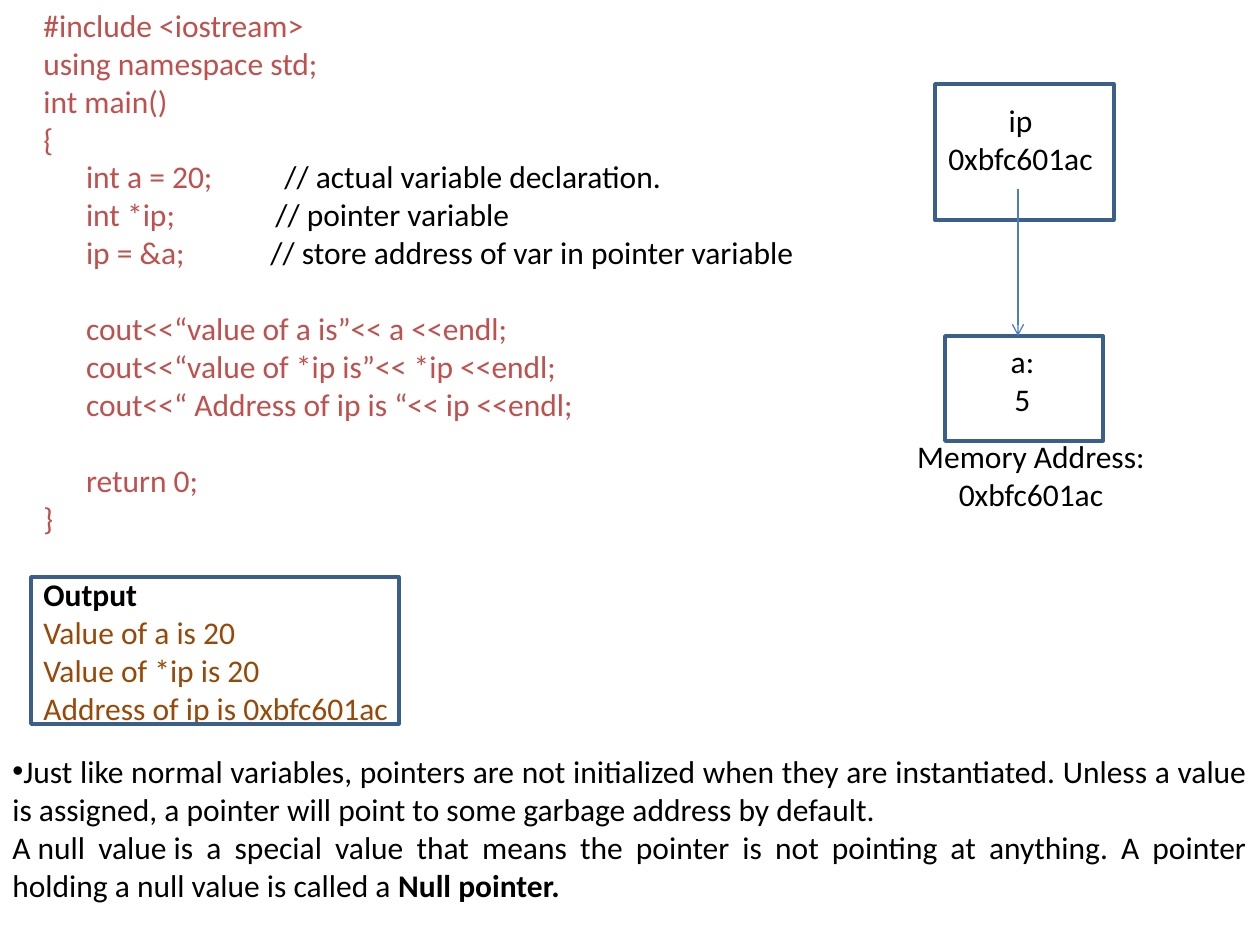
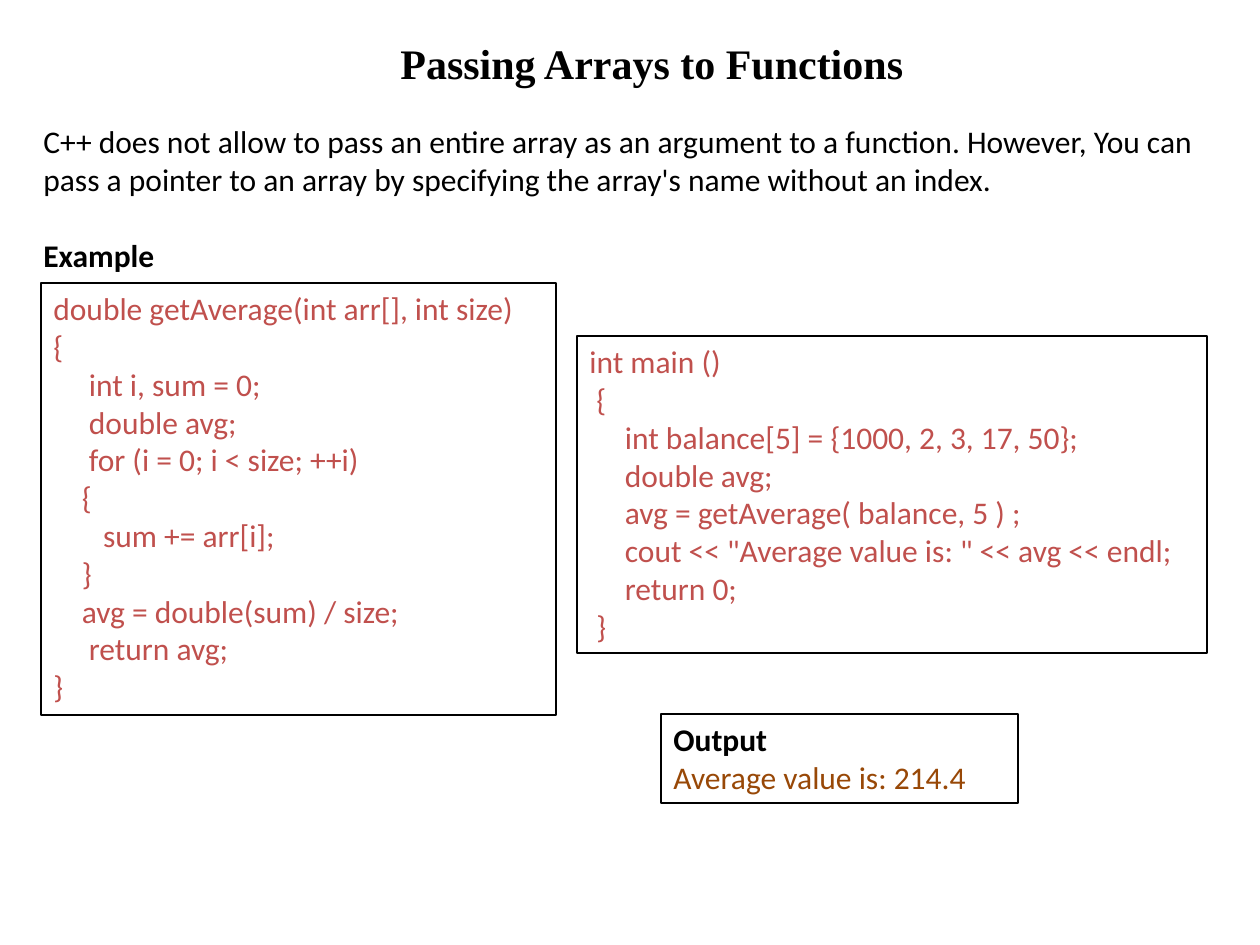
from lxml.etree import SubElement
from pptx import Presentation
from pptx.dml.color import RGBColor
from pptx.enum.shapes import MSO_CONNECTOR, MSO_SHAPE
from pptx.enum.text import MSO_ANCHOR, MSO_AUTO_SIZE, PP_ALIGN
from pptx.oxml.ns import qn
from pptx.util import Emu, Pt

# Shared style
BLACK, CODE, RESULT = "000000", "C0504D", "984807"
FRAME, ARROW = "3A5F8C", "4B7EBC"
BODY_FONT, TITLE_FONT = "Calibri", "Times New Roman"
LINE_GAP = 22     # points, the height of one line of body text
SPACE = 7.1       # pixels, the width of one space of indent

# Pointer slide: (indent in spaces, code, blank lines before, comment, comment x)
POINTER_CODE = [
    (0, "#include <iostream>"),
    (0, "using namespace std;"),
    (0, "int main()"),
    (0, "{"),
    (6, "int a = 20;", 0, "// actual variable declaration.", 241),
    (6, "int *ip;", 0, "// pointer variable", 232),
    (6, "ip = &a;", 0, "// store address of var in pointer variable", 227),
    (6, "cout<<“value of a is”<< a <<endl;", 1),
    (6, "cout<<“value of *ip is”<< *ip <<endl;"),
    (6, "cout<<“ Address of ip is “<< ip <<endl;"),
    (6, "return 0;", 1),
    (0, "}"),
]
POINTER_OUTPUT = ["Value of a is 20", "Value of *ip is 20",
                  "Address of ip is 0xbfc601ac"]
POINTER_FRAMES = [(935, 84, 179, 136), (945, 336, 158, 105), (31, 577, 368, 147)]
POINTER_LABELS = [
    ((935, 95, 171, 127), ["ip", "0xbfc601ac"]),
    ((998, 336, 49, 89), ["a:", "5"]),
    ((903, 431, 256, 127), ["Memory Address:", "0xbfc601ac"]),
]
POINTER_ARROW = (1018, 189, 1018, 336)
NULL_NOTES = [
    {"bullet": "•", "runs": [(
        "Just like normal variables, pointers are not initialized when they are "
        "instantiated. Unless a value is assigned, a pointer will point to some "
        "garbage address by default.", {})]},
    {"runs": [(
        "A\u00a0null value\u00a0is a special value that means the pointer is not "
        "pointing at anything. A pointer holding a null value is called a\u00a0", {}),
        ("Null pointer.", {"bold": True})]},
]

# Array slide
ARRAY_TITLE = "Passing Arrays to Functions"
ARRAY_INTRO = ("C++ does not allow to pass an entire array as an argument to a "
               "function. However, You can pass a pointer to an array by "
               "specifying the array's name without an index.")
AVERAGE_CODE = [
    (0, "double getAverage(int arr[], int size)"),
    (0, "{"),
    (5, "int i, sum = 0;"),
    (5, "double avg;"),
    (5, "for (i = 0; i < size; ++i)"),
    (4, "{"),
    (7, "sum += arr[i];"),
    (4, "}"),
    (4, "avg = double(sum) / size;"),
    (5, "return avg;"),
    (0, "}"),
]
MAIN_CODE = [
    (0, "int main ()"),
    (1, "{"),
    (5, "int balance[5] = {1000, 2, 3, 17, 50};"),
    (5, "double avg;"),
    (5, "avg = getAverage( balance, 5 ) ;"),
    (5, 'cout << "Average value is: " << avg << endl;'),
    (5, "return 0;"),
    (1, "}"),
]
ARRAY_OUTPUT = ["Average value is: 214.4"]


def px(n):
    """Turn pixels into EMU."""
    return Emu(round(n * 914400 / 126))


def rgb(color):
    """Turn a hex string into a colour."""
    return RGBColor.from_string(color)


def plain(text, before=0, **fmt):
    """Describe a paragraph of one run."""
    return {"runs": [(text, fmt)], "before": before}


def code_line(indent, code, before=0, comment="", comment_x=0):
    """Describe a line of code, placed by tab stops, with an optional comment."""
    runs = [("\t" * bool(indent) + code, {"color": CODE})]
    stops = [indent * SPACE] if indent else []
    if comment:
        runs.append(("\t" + comment, {}))
        stops.append(comment_x)
    return {"runs": runs, "before": before, "stops": stops}


def output_lines(lines, before=0):
    """Describe the output heading and the printed lines."""
    return ([plain("Output", before, bold=True)]
            + [plain(line, color=RESULT) for line in lines])


def format_run(r, size=18, font=BODY_FONT, color=BLACK, bold=False):
    """Set the font of a run."""
    r.font.size, r.font.name, r.font.bold = Pt(size), font, bold
    r.font.color.rgb = rgb(color)


def fill_text(sp, paragraphs, align=PP_ALIGN.LEFT, wrap=True, **fmt):
    """Write paragraphs into a shape or a text box."""
    tf = sp.text_frame
    tf.word_wrap = wrap
    tf.auto_size = MSO_AUTO_SIZE.SHAPE_TO_FIT_TEXT
    tf.vertical_anchor = MSO_ANCHOR.TOP
    for i, item in enumerate(paragraphs):
        p = tf.add_paragraph() if i else tf.paragraphs[0]
        p.alignment = align
        p.space_before = Pt(LINE_GAP * item.get("before", 0))
        pPr = p._p.get_or_add_pPr()
        if item.get("bullet"):
            SubElement(pPr, qn("a:buFont"), typeface="Arial")
            SubElement(pPr, qn("a:buChar"), char=item["bullet"])
        if item.get("stops"):
            tabs = SubElement(pPr, qn("a:tabLst"))
            for stop in item["stops"]:
                SubElement(tabs, qn("a:tab"), pos=str(px(stop)), algn="l")
        for text, own in item["runs"]:
            r = p.add_run()
            r.text = text
            format_run(r, **{**fmt, **own})


def add_text(s, box, paragraphs, **fmt):
    """Add a text box."""
    fill_text(s.shapes.add_textbox(*map(px, box)), paragraphs, **fmt)


def add_frame(s, box, color=BLACK, width=0.75, paragraphs=()):
    """Add an unfilled rectangle, with text if there is any."""
    sp = s.shapes.add_shape(MSO_SHAPE.RECTANGLE, *map(px, box))
    sp.shadow.inherit = False
    sp.fill.background()
    sp.line.color.rgb = rgb(color)
    sp.line.width = Pt(width)
    if paragraphs:
        fill_text(sp, paragraphs)


def add_arrow(s, ends):
    """Add a thin line with an open arrowhead at its end."""
    line = s.shapes.add_connector(MSO_CONNECTOR.STRAIGHT, *map(px, ends))
    line.line.color.rgb = rgb(ARROW)
    line.line.width = Pt(0.75)
    SubElement(line.line._get_or_add_ln(), qn("a:tailEnd"), type="arrow")
    SubElement(line._element.spPr, qn("a:effectLst"))


def pointer_slide(s):
    """Build the slide on pointers and their addresses."""
    listing = [code_line(*row) for row in POINTER_CODE]
    add_text(s, (31, 0, 798, 734), listing + output_lines(POINTER_OUTPUT, before=1))
    for box in POINTER_FRAMES:
        add_frame(s, box, FRAME, 2)
    for box, lines in POINTER_LABELS:
        add_text(s, box, [plain(line) for line in lines],
                 align=PP_ALIGN.CENTER, wrap=False)
    add_arrow(s, POINTER_ARROW)
    add_text(s, (0, 746, 1260, 165), NULL_NOTES, align=PP_ALIGN.JUSTIFY)


def array_slide(s):
    """Build the slide on passing arrays."""
    add_text(s, (388, 31, 533, 63), [plain(ARRAY_TITLE)], wrap=False,
             size=24, font=TITLE_FONT, bold=True)
    add_text(s, (31, 116, 1197, 165),
             [plain(ARRAY_INTRO), plain("Example", before=1, bold=True)])
    for box, paragraphs in [
        ((41, 283, 515, 432), [code_line(*row) for row in AVERAGE_CODE]),
        ((577, 336, 630, 317), [code_line(*row) for row in MAIN_CODE]),
        ((661, 714, 357, 89), output_lines(ARRAY_OUTPUT)),
    ]:
        add_frame(s, box, paragraphs=paragraphs)


prs = Presentation()
prs.slide_width, prs.slide_height = px(1260), px(945)
for build in (pointer_slide, array_slide):
    build(prs.slides.add_slide(prs.slide_layouts[6]))
prs.save("out.pptx")
